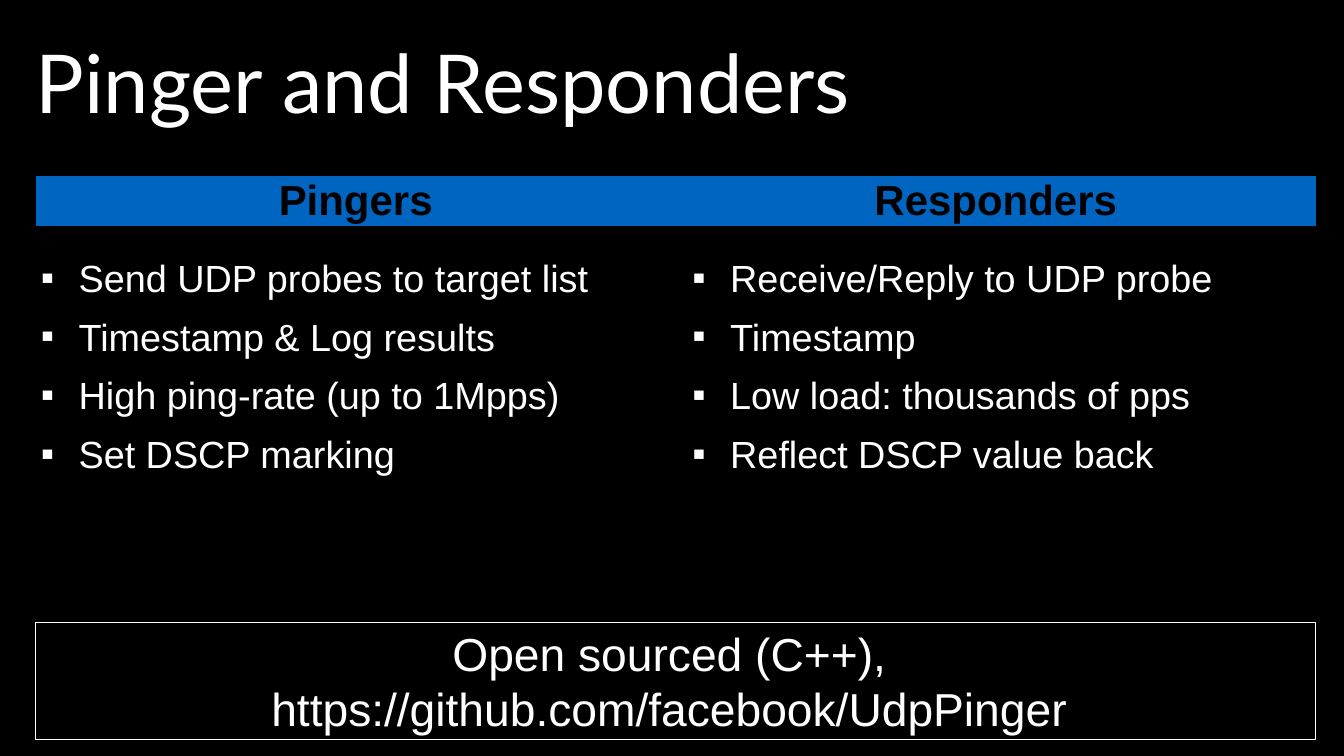
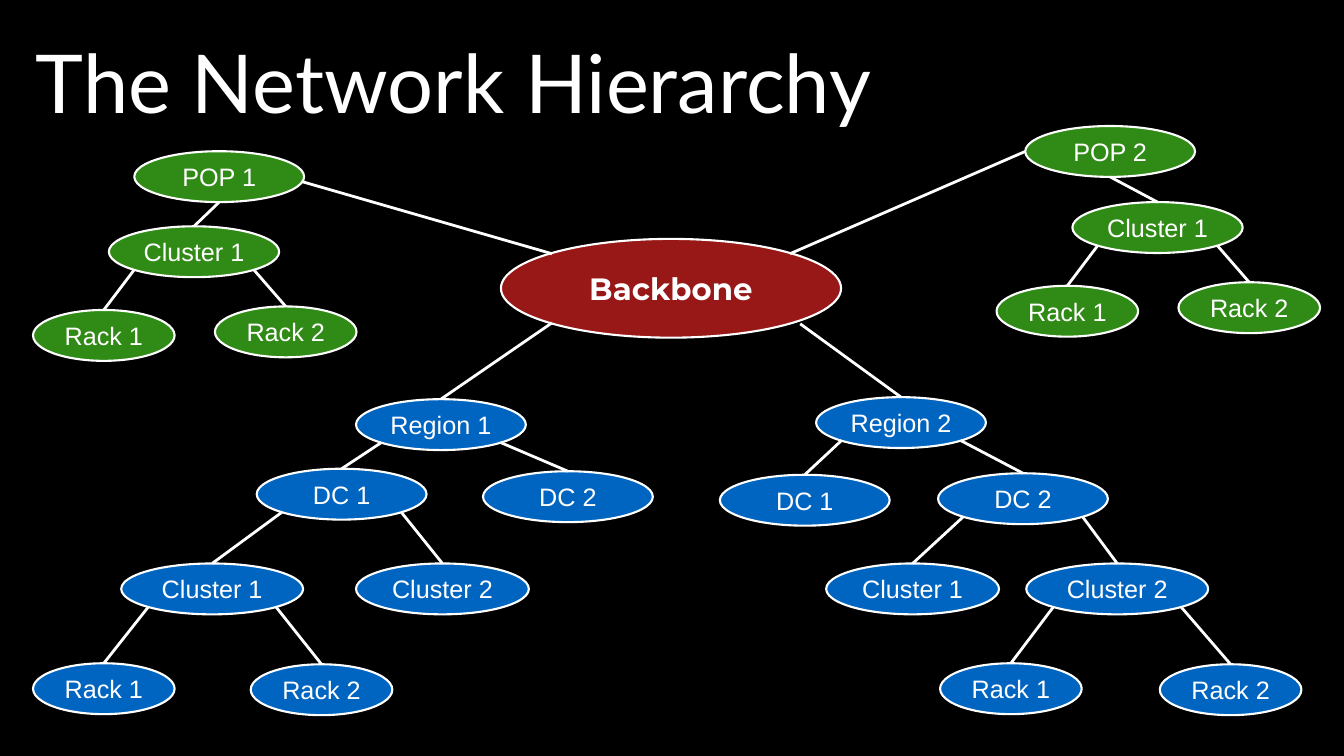
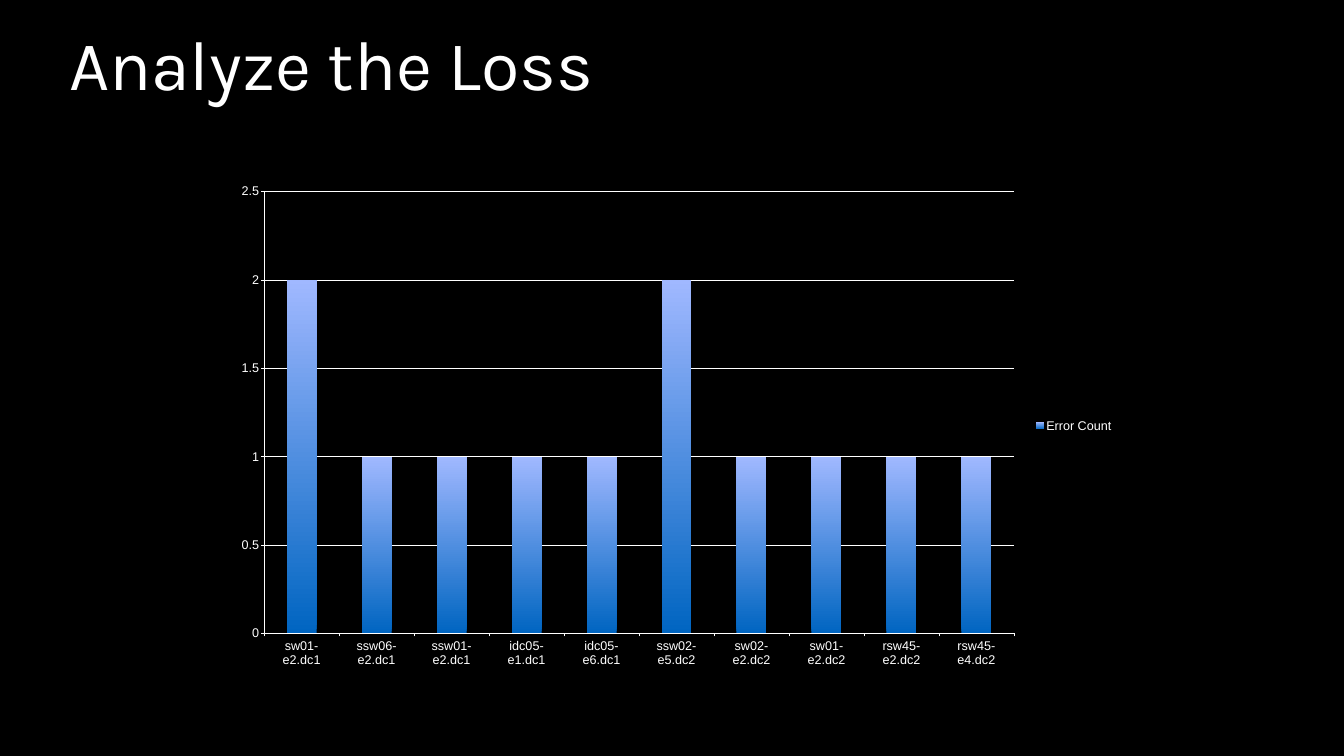
from dataclasses import dataclass

from lxml import etree
from pptx import Presentation
from pptx.chart.data import CategoryChartData
from pptx.dml.color import RGBColor
from pptx.enum.chart import XL_CHART_TYPE, XL_LEGEND_POSITION, XL_TICK_MARK
from pptx.enum.shapes import MSO_CONNECTOR, MSO_SHAPE
from pptx.enum.text import MSO_ANCHOR, MSO_AUTO_SIZE, PP_ALIGN
from pptx.oxml.ns import qn
from pptx.util import Inches, Pt

LEFT, CENTER = PP_ALIGN.LEFT, PP_ALIGN.CENTER
TOP, MIDDLE = MSO_ANCHOR.TOP, MSO_ANCHOR.MIDDLE
COLUMN_CHART = XL_CHART_TYPE.COLUMN_CLUSTERED
LEGEND_RIGHT = XL_LEGEND_POSITION.RIGHT
TICK_OUT = XL_TICK_MARK.OUTSIDE
STRAIGHT = MSO_CONNECTOR.STRAIGHT
RECTANGLE, OVAL = MSO_SHAPE.RECTANGLE, MSO_SHAPE.OVAL
PLAIN_TABLE = "{2D5ABB26-0587-4C30-8999-92F81FD0307C}"


@dataclass(frozen=True)
class Theme:
    black: str = "000000"
    white: str = "FFFFFF"
    blue: str = "0065C1"
    pale_blue: str = "A0B8FF"
    green: str = "308B16"
    red: str = "971817"
    body_font: str = "Arial"
    title_font: str = "Lato"
    chart_title_font: str = "Karla"
    root_font: str = "Montserrat"
    title: int = 116
    chart_title: int = 100
    callout: int = 66
    header: int = 60
    body: int = 54
    root: int = 44
    node: int = 36
    chart: int = 18


@dataclass(frozen=True)
class Node:
    label: str
    center: float
    top: float
    width: float
    exit: tuple
    children: tuple = ()
    entry: tuple = (0.5, 0)


THEME = Theme()
COLUMNS, ROWS = 26.67, 15
MARGIN, CONTENT_WIDTH = 0.71, 25.4
INSET = 0.06
NODE_HEIGHT = 1.01

ROLES = {
    "Pingers": [
        "Send UDP probes to target list",
        "Timestamp & Log results",
        "High ping-rate (up to 1Mpps)",
        "Set DSCP marking",
    ],
    "Responders": [
        "Receive/Reply to UDP probe",
        "Timestamp",
        "Low load: thousands of pps",
        "Reflect DSCP value back",
    ],
}
CALLOUT = "Open sourced (C++), \vhttps://github.com/facebook/UdpPinger "

NORTH_WEST, NORTH_EAST = (0.15, 0.15), (0.85, 0.15)
SOUTH_WEST, SOUTH_EAST = (0.15, 0.85), (0.85, 0.85)
SOUTH, WEST = (0.5, 1), (0, 0.5)


def racks(left, left_top, right, right_top):
    return (Node("Rack 1", left, left_top, 2.81, SOUTH_WEST),
            Node("Rack 2", right, right_top, 2.81, SOUTH_EAST))


def pop(label, center, top, exit, entry, cluster, cluster_top):
    rack_pair = racks(cluster - 1.79, cluster_top + 1.66,
                      cluster + 1.82, cluster_top + 1.59)
    cluster_node = Node("Cluster 1", cluster, cluster_top, 3.38, SOUTH, rack_pair)
    return Node(label, center, top, 3.37, exit, (cluster_node,), entry)


BRANCHES = [
    (THEME.green, pop("POP 1", 4.35, 3, NORTH_WEST, (0.99, 0.6), 3.85, 4.49)),
    (THEME.green, pop("POP 2", 22.03, 2.5, NORTH_EAST, WEST, 22.97, 4.01)),
    (THEME.blue, Node("Region 1", 8.75, 7.92, 3.37, SOUTH_WEST, (
        Node("DC 1", 6.78, 9.3, 3.37, SOUTH_WEST, (
            Node("Cluster 1", 4.21, 11.18, 3.61, SOUTH_WEST,
                 racks(2.06, 13.16, 6.38, 13.18)),
            Node("Cluster 2", 8.78, 11.18, 3.43, SOUTH_EAST),
        )),
        Node("DC 2", 11.27, 9.35, 3.37, SOUTH_EAST),
    ))),
    (THEME.blue, Node("Region 2", 17.88, 7.88, 3.37, (0.88, 0.86), (
        Node("DC 1", 15.97, 9.42, 3.37, SOUTH_WEST),
        Node("DC 2", 20.3, 9.39, 3.37, SOUTH_EAST, (
            Node("Cluster 1", 18.11, 11.18, 3.43, SOUTH_WEST),
            Node("Cluster 2", 22.17, 11.18, 3.61, SOUTH_EAST,
                 racks(20.06, 13.16, 24.42, 13.18)),
        )),
    ))),
]

ERRORS = [
    ("sw01-e2.dc1", 2), ("ssw06-e2.dc1", 1), ("ssw01-e2.dc1", 1),
    ("idc05-e1.dc1", 1), ("idc05-e6.dc1", 1), ("ssw02-e5.dc2", 2),
    ("sw02-e2.dc2", 1), ("sw01-e2.dc2", 1), ("rsw45-e2.dc2", 1),
    ("rsw45-e4.dc2", 1),
]


def rgb(color):
    return RGBColor.from_string(color)


def grid(*cells):
    return [Inches(cell) for cell in cells]


def place(shape, *cells):
    shape.left, shape.top, shape.width, shape.height = grid(*cells)


def write(frame, text, size=THEME.body, font=THEME.body_font, color=THEME.white,
          bold=False, align=LEFT, anchor=MIDDLE, inset=INSET, spacing=1, bullet=None):
    lines = [text] if isinstance(text, str) else text
    frame.word_wrap = True
    frame.auto_size = MSO_AUTO_SIZE.NONE
    frame.vertical_anchor = anchor
    frame.margin_left = frame.margin_right = Inches(inset)
    frame.margin_top = frame.margin_bottom = Inches(inset)
    for index, line in enumerate(lines):
        paragraph = frame.paragraphs[0] if index == 0 else frame.add_paragraph()
        paragraph.text = line
        if bullet:
            properties = paragraph._p.get_or_add_pPr()
            properties.set("marL", str(Inches(0.79)))
            properties.set("indent", str(Inches(-0.75)))
            etree.SubElement(properties, qn("a:buChar")).set("char", bullet)
        paragraph.alignment = align
        paragraph.line_spacing = spacing
        paragraph.space_before = paragraph.space_after = Pt(0)
        for run in paragraph.runs:
            run.font.size = Pt(size)
            run.font.name = font
            run.font.bold = bold
            run.font.color.rgb = rgb(color)


def add_slide(prs, layout, title, cells=(MARGIN, -0.28, CONTENT_WIDTH, 3.76), **style):
    slide = prs.slides.add_slide(prs.slide_layouts.get_by_name(layout))
    place(slide.shapes.title, *cells)
    title_style = {"size": THEME.title, "font": THEME.title_font, "inset": 0}
    write(slide.shapes.title.text_frame, title, **{**title_style, **style})
    return slide


def add_outlined(slide, preset, cells, text, fill=None, line_width=3, **style):
    shape = slide.shapes.add_shape(preset, *grid(*cells))
    shape.shadow.inherit = False
    if fill:
        shape.fill.solid()
        shape.fill.fore_color.rgb = rgb(fill)
    else:
        shape.fill.background()
    shape.line.color.rgb = rgb(THEME.white)
    shape.line.width = Pt(line_width)
    write(shape.text_frame, text, align=CENTER, **style)
    return shape


def add_roles(prs):
    slide = add_slide(prs, "Two Content", "Pinger and Responders")
    table = slide.shapes.add_table(2, len(ROLES), *grid(MARGIN, 3.49, CONTENT_WIDTH, 7.41)).table
    table._tbl.tblPr.find(qn("a:tableStyleId")).text = PLAIN_TABLE
    table.horz_banding = False
    table.rows[0].height, table.rows[1].height = grid(0.82, 6.59)
    for column, (role, duties) in enumerate(ROLES.items()):
        header, blank = (table.cell(row, column) for row in range(2))
        header.fill.solid()
        header.fill.fore_color.rgb = rgb(THEME.blue)
        blank.fill.background()
        write(header.text_frame, role, size=THEME.header, color=THEME.black,
              bold=True, align=CENTER)
        header.margin_top = header.margin_bottom = Inches(0.03)
        duty_list = slide.placeholders[column + 1]
        place(duty_list, MARGIN + 12.93 * column, 4.72, 12.76, 4.79)
        write(duty_list.text_frame, duties, spacing=1.3, bullet="▪")
    add_outlined(slide, RECTANGLE, (MARGIN, 12.34, CONTENT_WIDTH, 2.33), CALLOUT,
                 line_width=1, size=THEME.callout)


def point_on(shape, share):
    across, down = share
    return (int(shape.left + across * shape.width), int(shape.top + down * shape.height))


def add_branch(slide, parent, node, color):
    cells = (node.center - node.width / 2, node.top, node.width, NODE_HEIGHT)
    oval = add_outlined(slide, OVAL, cells, node.label, fill=color, size=THEME.node)
    link = slide.shapes.add_connector(STRAIGHT, *point_on(oval, node.entry),
                                      *point_on(parent, node.exit))
    if node.entry == (0.5, 0) and node.exit != SOUTH:
        link.begin_connect(oval, 0)
    link.line.color.rgb = rgb(THEME.white)
    link.line.width = Pt(4)
    etree.SubElement(link._element.spPr, qn("a:effectLst"))
    for child in node.children:
        add_branch(slide, oval, child, color)


def add_hierarchy(prs):
    slide = add_slide(prs, "Title Only", "The Network Hierarchy", (MARGIN, -0.28, 22.86, 3.76))
    backbone = add_outlined(slide, OVAL, (9.94, 4.74, 6.75, 1.96), "Backbone", fill=THEME.red,
                            size=THEME.root, font=THEME.root_font, bold=True)
    for color, branch in BRANCHES:
        add_branch(slide, backbone, branch, color)


def add_loss(prs):
    slide = add_slide(prs, "Title Only", "Analyze the Loss", (1.37, 0.6, 23.97, 1.88),
                      size=THEME.chart_title, font=THEME.chart_title_font,
                      anchor=TOP, spacing=0.9)
    errors = CategoryChartData()
    errors.categories = [switch for switch, count in ERRORS]
    errors.add_series("Error Count", [count for switch, count in ERRORS])
    chart = slide.shapes.add_chart(COLUMN_CHART, *grid(4.44, 3.46, 17.78, 9.97), errors).chart
    chart.has_title = False
    chart.font.size = Pt(THEME.chart)
    chart.font.name = THEME.body_font
    chart.font.color.rgb = rgb(THEME.white)
    chart.has_legend = True
    chart.legend.position = LEGEND_RIGHT
    chart.legend.include_in_layout = False
    counts = chart.value_axis
    counts.minimum_scale, counts.maximum_scale, counts.major_unit = 0, 2.5, 0.5
    counts.has_major_gridlines = True
    for axis in (chart.category_axis, counts):
        axis.major_tick_mark = TICK_OUT
    for rule in (chart.category_axis, counts, counts.major_gridlines):
        rule.format.line.color.rgb = rgb(THEME.white)
        rule.format.line.width = Pt(0.75)
    plot = chart.plots[0]
    plot.gap_width = 150
    plot.vary_by_categories = False
    bar_fill = plot.series[0].format.fill
    bar_fill.gradient()
    bar_fill.gradient_angle = 90
    for stop, color, position in zip(bar_fill.gradient_stops,
                                     (THEME.blue, THEME.pale_blue), (0, 1)):
        stop.color.rgb = rgb(color)
        stop.position = position


def main():
    prs = Presentation()
    prs.slide_width, prs.slide_height = grid(COLUMNS, ROWS)
    background = prs.slide_master.background.fill
    background.solid()
    background.fore_color.rgb = rgb(THEME.black)
    add_roles(prs)
    add_hierarchy(prs)
    add_loss(prs)
    prs.save("out.pptx")


if __name__ == "__main__":
    main()
